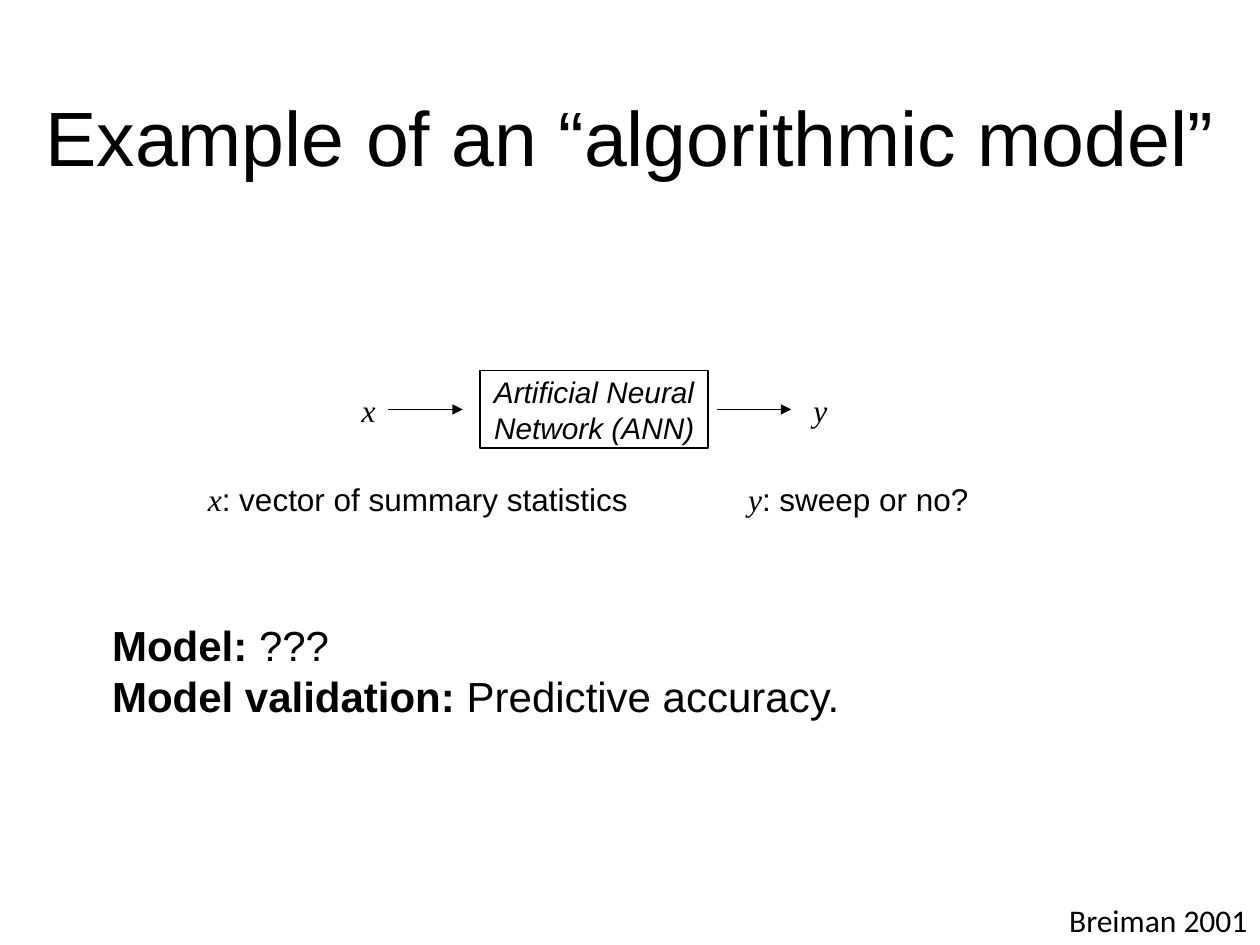
from lxml import etree
from pptx import Presentation
from pptx.dml.color import RGBColor
from pptx.enum.shapes import MSO_CONNECTOR, MSO_SHAPE
from pptx.enum.text import MSO_ANCHOR, MSO_AUTO_SIZE, PP_ALIGN
from pptx.oxml.ns import qn
from pptx.util import Cm, Pt

BLACK = RGBColor(0, 0, 0)
WHITE = RGBColor(255, 255, 255)
LEFT, CENTER, RIGHT = PP_ALIGN.LEFT, PP_ALIGN.CENTER, PP_ALIGN.RIGHT
MIDDLE = MSO_ANCHOR.MIDDLE
GROW = MSO_AUTO_SIZE.SHAPE_TO_FIT_TEXT
RECT = MSO_SHAPE.RECTANGLE
STRAIGHT = MSO_CONNECTOR.STRAIGHT
SANS, SERIF, PLAIN = "Arial", "Times New Roman", "Calibri"
LINE = 1.02
SIGN = 0.79


def add_run(para, text, size, font=SANS, bold=False, slant=False):
    run = para.add_run()
    run.text = text
    run.font.size = Pt(size)
    run.font.name = font
    run.font.bold = bold
    run.font.italic = slant
    run.font.color.rgb = BLACK


def add_text(slide, box, wrap=False, align=LEFT):
    frame = slide.shapes.add_textbox(*map(Cm, box)).text_frame
    frame.word_wrap = wrap
    frame.auto_size = GROW
    frame.paragraphs[0].alignment = align
    return frame


def add_arrow(slide, start, end, y):
    arrow = slide.shapes.add_connector(STRAIGHT, Cm(start), Cm(y), Cm(end), Cm(y))
    arrow.line.color.rgb = BLACK
    arrow.line.width = Pt(0.5)
    stroke = arrow.line._get_or_add_ln()
    etree.SubElement(stroke, qn("a:tailEnd"), type="triangle")
    etree.SubElement(arrow._element.spPr, qn("a:effectLst"))


def add_title(slide, box):
    frame = add_text(slide, box, True, CENTER)
    frame.auto_size = MSO_AUTO_SIZE.NONE
    frame.vertical_anchor = MIDDLE
    frame.paragraphs[0].line_spacing = 0.9
    add_run(frame.paragraphs[0], "Example of an “algorithmic model”", 44)


def add_flow(slide, box):
    left, top, width, height = box
    inset, wide, reach = 2.64, 4.6, 1.5
    node = slide.shapes.add_shape(RECT, Cm(left + inset), Cm(top), Cm(wide), Cm(height))
    node.shadow.inherit = False
    node.fill.solid()
    node.fill.fore_color.rgb = WHITE
    node.line.color.rgb = BLACK
    node.line.width = Pt(1)
    frame = node.text_frame
    frame.word_wrap = True
    frame.vertical_anchor = MIDDLE
    frame.paragraphs[0].alignment = CENTER
    add_run(frame.paragraphs[0], "Artificial Neural Network (ANN)", 17, slant=True)
    for sign, x in (("x", left), ("y", left + width - SIGN)):
        frame = add_text(slide, (x, top + 0.28, SIGN, LINE))
        add_run(frame.paragraphs[0], sign, 18, SERIF, slant=True)
    for start in (left + SIGN, left + inset + wide + 0.17):
        add_arrow(slide, start, start + reach, top + height / 2)


def add_key(slide, box, sign, text):
    para = add_text(slide, box).paragraphs[0]
    add_run(para, sign, 18, SERIF, slant=True)
    add_run(para, text, 18)


def add_notes(slide, box, rows):
    frame = add_text(slide, box, True)
    for i, (head, text) in enumerate(rows):
        para = frame.add_paragraph() if i else frame.paragraphs[0]
        add_run(para, head, 24, bold=True)
        add_run(para, text, 24)


def add_source(slide, box):
    frame = add_text(slide, box, align=RIGHT)
    add_run(frame.paragraphs[0], "Breiman 2001", 18, PLAIN)


def main():
    deck = Presentation()
    deck.slide_width, deck.slide_height = Cm(25.4), Cm(19.05)
    slide = deck.slides.add_slide(deck.slide_layouts[6])
    add_title(slide, (0, 1.02, 25.4, 3.68))
    add_flow(slide, (7.04, 7.47, 9.9, 1.57))
    add_key(slide, (3.94, 9.55, 9.07, LINE), "x", ": vector of summary statistics")
    add_key(slide, (14.83, 9.55, 5, LINE), "y", ": sweep or no?")
    add_notes(slide, (2.01, 12.37, 21.64, 2.31), (
        ("Model:", " ???"),
        ("Model validation:", " Predictive accuracy."),
    ))
    add_source(slide, (21.26, 18.03, 4.14, LINE))
    deck.save("out.pptx")


if __name__ == "__main__":
    main()
